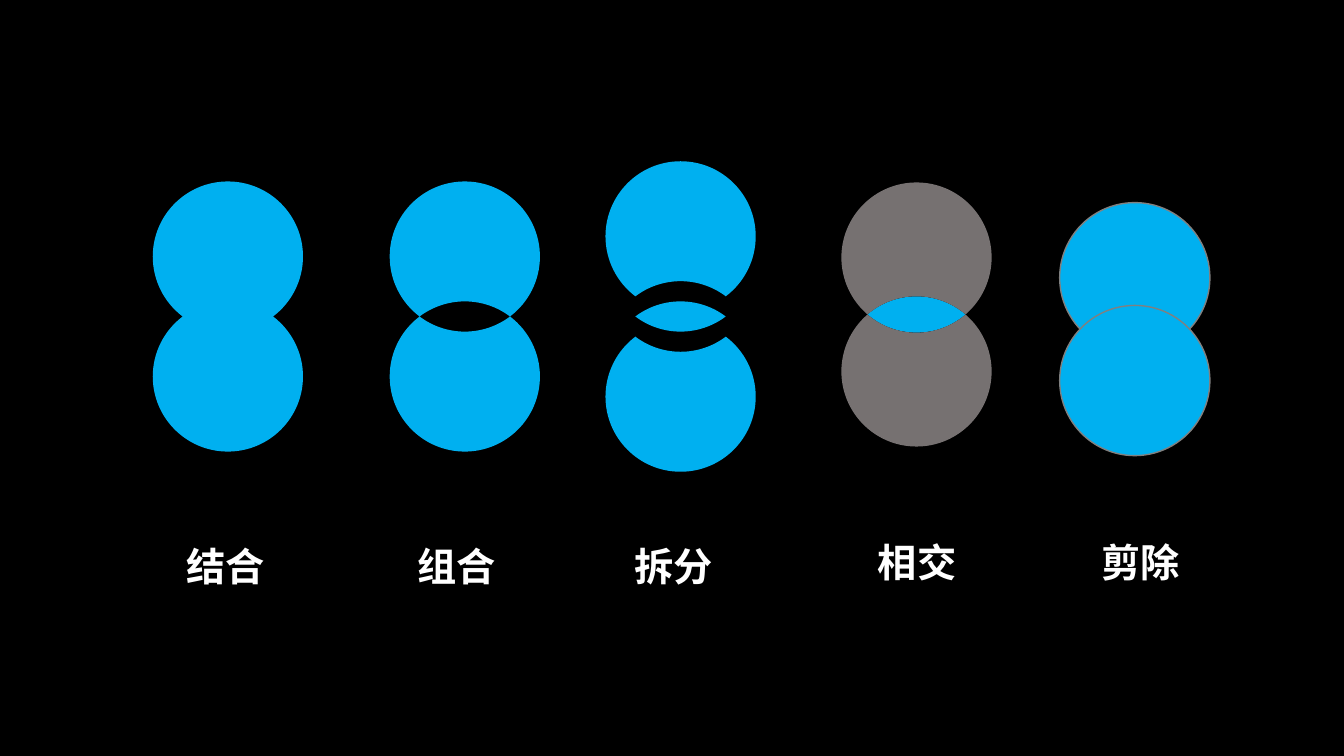
from math import acos, cos, degrees, radians, sin, tan

from lxml import etree
from pptx import Presentation
from pptx.dml.color import RGBColor
from pptx.enum.shapes import MSO_SHAPE
from pptx.enum.text import MSO_AUTO_SIZE
from pptx.oxml.ns import qn
from pptx.util import Inches, Pt

ELLIPSE = MSO_SHAPE.OVAL
GROW = MSO_AUTO_SIZE.SHAPE_TO_FIT_TEXT

BLACK = RGBColor(0x00, 0x00, 0x00)
WHITE = RGBColor(0xFF, 0xFF, 0xFF)
BLUE = RGBColor(0x00, 0xB0, 0xF0)
GRAY = RGBColor(0x76, 0x71, 0x71)
OUTLINE = RGBColor(0x80, 0x80, 0x80)

FONT = "Noto Sans CJK SC"
DIAMETER = 1.49
RADIUS = DIAMETER / 2
SPLIT_SHIFT = 0.2

LABELS = [
    ("结合", 1.75, 5.33),
    ("组合", 4.04, 5.33),
    ("拆分", 6.19, 5.33),
    ("相交", 8.61, 5.29),
    ("剪除", 10.83, 5.29),
]


def arc(center_x, center_y, start, end):
    """Bezier points of a clockwise arc, in degrees, split at the quadrants."""
    inner = [angle for angle in range(-180, 541, 90) if start < angle < end]
    stops = [radians(angle) for angle in [start, *inner, end]]

    def spot(angle, pull=0):
        return (center_x + RADIUS * (cos(angle) - pull * sin(angle)),
                center_y + RADIUS * (sin(angle) + pull * cos(angle)))

    points = [spot(stops[0])]
    for a, b in zip(stops, stops[1:]):
        pull = 4 / 3 * tan((b - a) / 4)
        points += [spot(a, pull), spot(b, -pull), spot(b)]
    return points


def circle_pair(center_x, middle_y, distance):
    """Outlines of two overlapping circles: union, upper part, lower part, lens."""
    upper_y, lower_y = middle_y - distance / 2, middle_y + distance / 2
    half = degrees(acos(distance / 2 / RADIUS))
    upper_outer = arc(center_x, upper_y, 90 + half, 450 - half)
    lower_outer = arc(center_x, lower_y, half - 90, 270 - half)
    upper_inner = arc(center_x, upper_y, 90 - half, 90 + half)
    lower_inner = arc(center_x, lower_y, -90 - half, half - 90)
    # The second arc starts where the first one ends
    return (
        upper_outer + lower_outer[1:],
        upper_outer + lower_inner[::-1][1:],
        lower_outer + upper_inner[::-1][1:],
        lower_inner + upper_inner[1:],
    )


def shifted(outline, offset):
    return [(x, y + offset) for x, y in outline]


def bend_segments(shape):
    """Turn each three line segments into one cubic curve."""
    for route in shape._element.iter(qn("a:path")):
        segments = route.findall(qn("a:lnTo"))
        for i in range(0, len(segments), 3):
            curve = etree.Element(qn("a:cubicBezTo"))
            segments[i].addprevious(curve)
            for segment in segments[i:i + 3]:
                curve.append(segment[0])
                route.remove(segment)


def add_outline(slide, color, *outlines):
    contours = [[(Inches(x), Inches(y)) for x, y in outline] for outline in outlines]
    builder = slide.shapes.build_freeform(*contours[0][0])
    builder.add_line_segments(contours[0][1:])
    for points in contours[1:]:
        builder.move_to(*points[0])
        builder.add_line_segments(points[1:])
    shape = builder.convert_to_shape()
    bend_segments(shape)
    shape.shadow.inherit = False
    shape.fill.solid()
    shape.fill.fore_color.rgb = color
    shape.line.fill.background()


def add_circle(slide, left, top):
    circle = slide.shapes.add_shape(
        ELLIPSE, Inches(left), Inches(top), Inches(DIAMETER), Inches(DIAMETER))
    circle.shadow.inherit = False
    circle.fill.solid()
    circle.fill.fore_color.rgb = BLUE
    circle.line.color.rgb = OUTLINE
    circle.line.width = Pt(1)


def add_label(slide, text, left, top):
    box = slide.shapes.add_textbox(Inches(left), Inches(top), Inches(1.14), Inches(0.57))
    frame = box.text_frame
    frame.word_wrap = True
    frame.auto_size = GROW
    frame.text = text
    span = frame.paragraphs[0].runs[0]
    span.font.size = Pt(28)
    span.font.bold = True
    span.font.color.rgb = WHITE
    span.font.name = FONT
    # East Asian glyphs take their own typeface
    etree.SubElement(span.font._element, qn("a:ea"), typeface=FONT)


def main():
    deck = Presentation()
    deck.slide_width, deck.slide_height = Inches(13.33), Inches(7.5)
    slide = deck.slides.add_slide(deck.slide_layouts[6])
    slide.background.fill.solid()
    slide.background.fill.fore_color.rgb = BLACK

    # Union
    union, _, _, _ = circle_pair(2.26, 3.14, 1.19)
    add_outline(slide, BLUE, union)

    # Combine: the overlap is left open
    _, upper, lower, _ = circle_pair(4.61, 3.14, 1.19)
    add_outline(slide, BLUE, upper, lower)

    # Fragment: three pieces pulled apart
    _, upper, lower, lens = circle_pair(6.75, 3.14, 1.19)
    add_outline(slide, BLUE, lens)
    add_outline(slide, BLUE, shifted(upper, -SPLIT_SHIFT))
    add_outline(slide, BLUE, shifted(lower, SPLIT_SHIFT))

    # Intersect: only the overlap is blue
    _, upper, lower, lens = circle_pair(9.09, 3.12, 1.13)
    add_outline(slide, BLUE, lens)
    add_outline(slide, GRAY, upper)
    add_outline(slide, GRAY, lower)

    # Subtract: two whole circles
    for top in (2.01, 3.03):
        add_circle(slide, 10.51, top)

    # Labels
    for text, left, top in LABELS:
        add_label(slide, text, left, top)

    deck.save("out.pptx")


if __name__ == "__main__":
    main()
